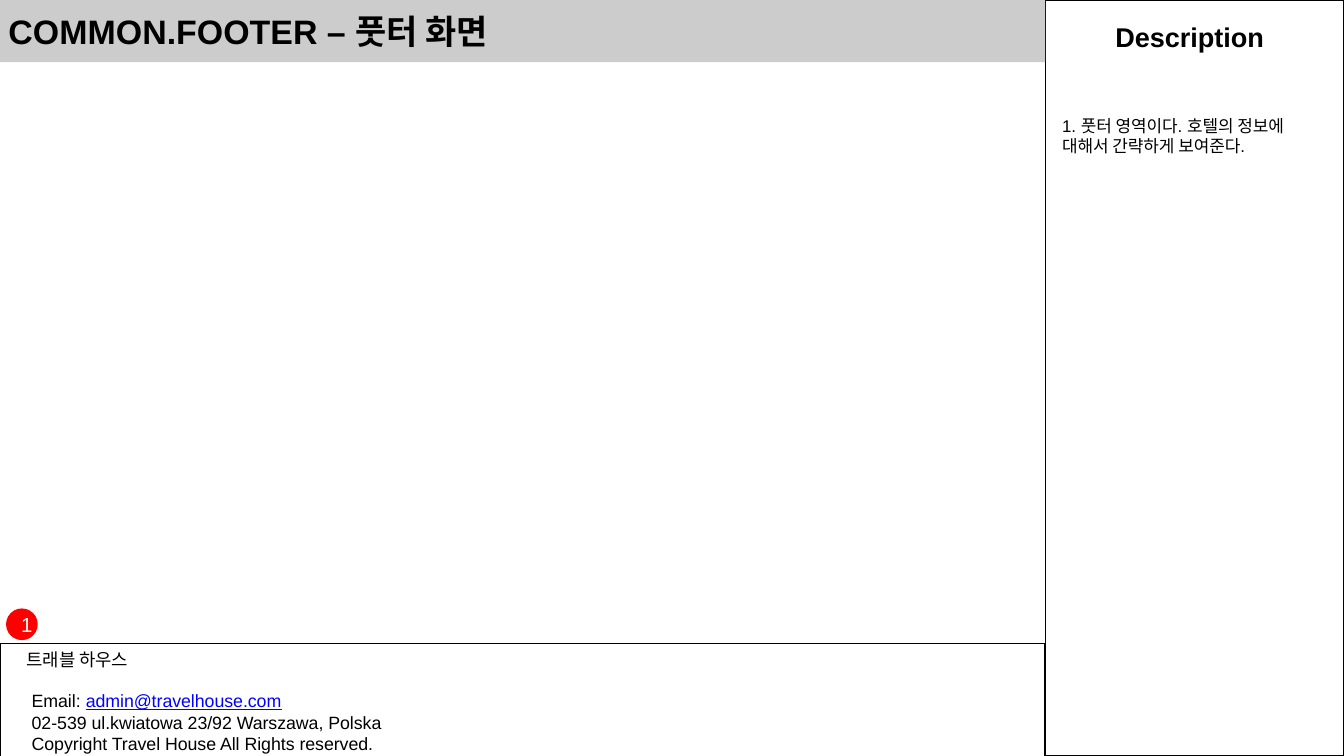
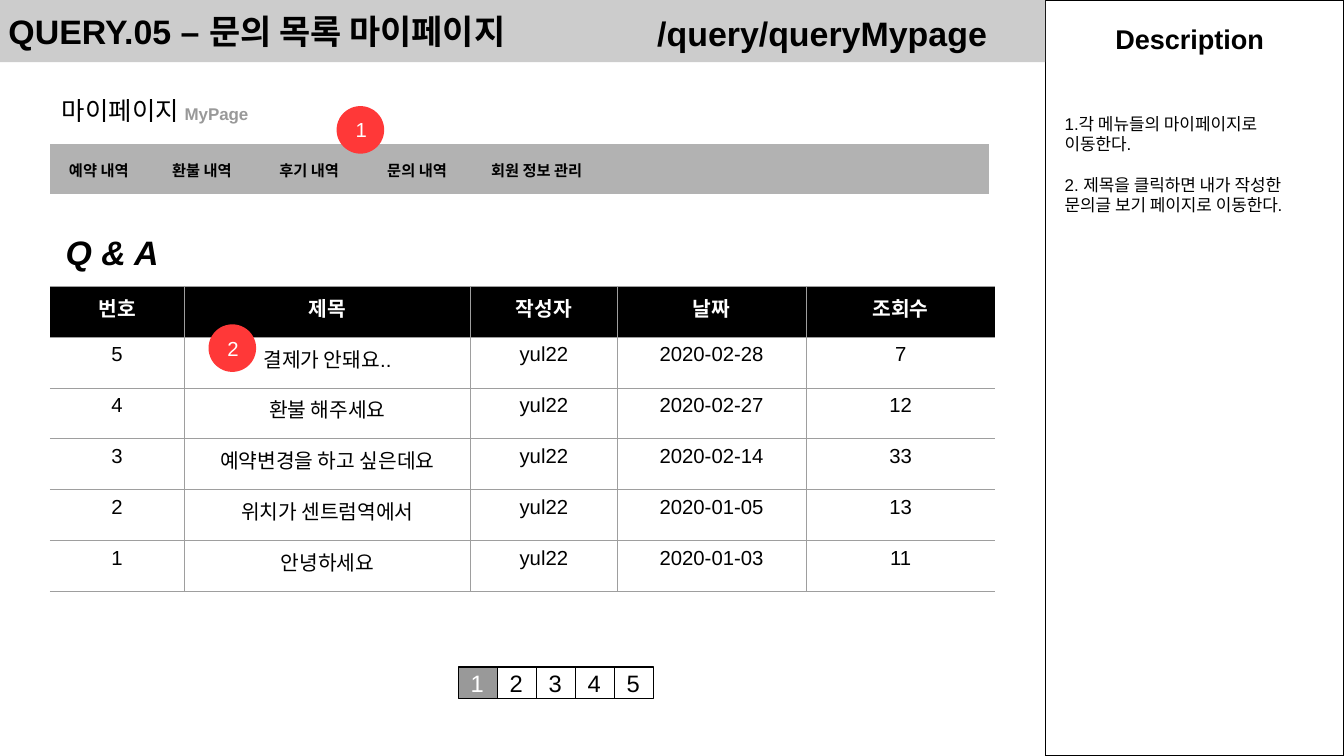
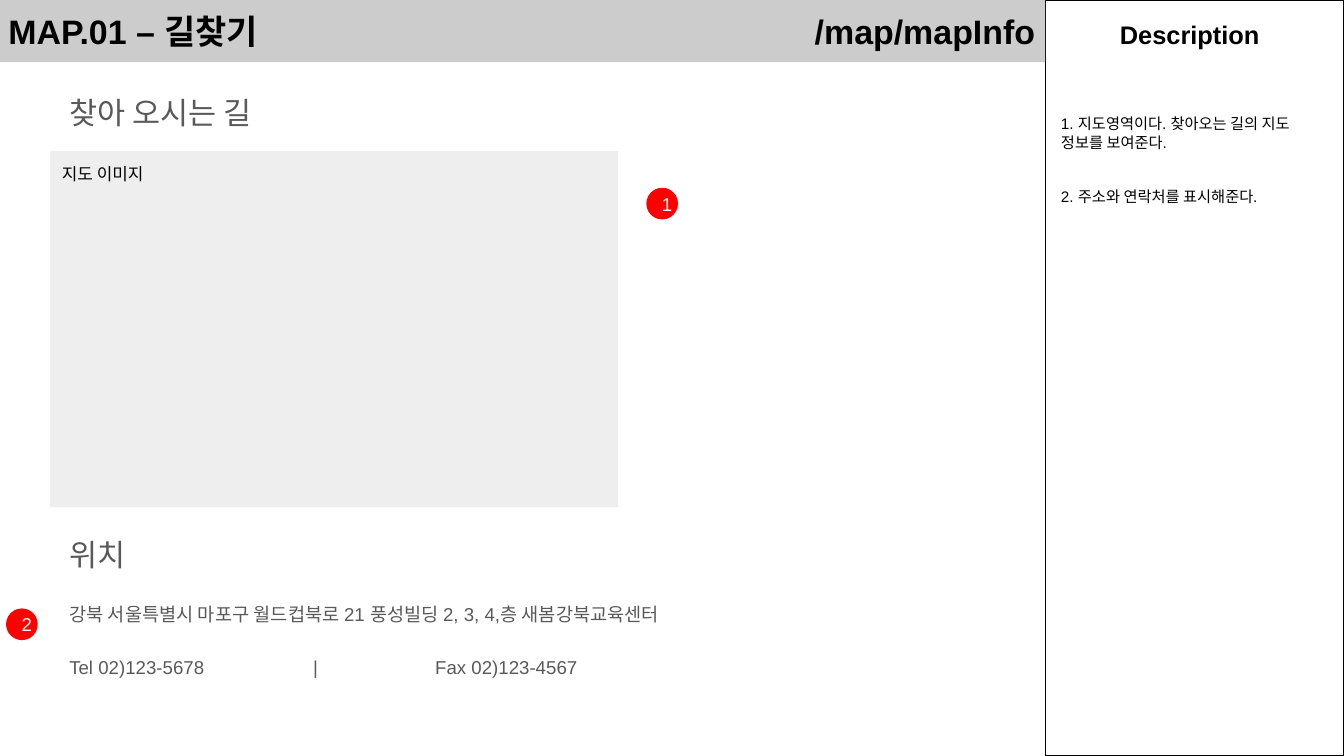
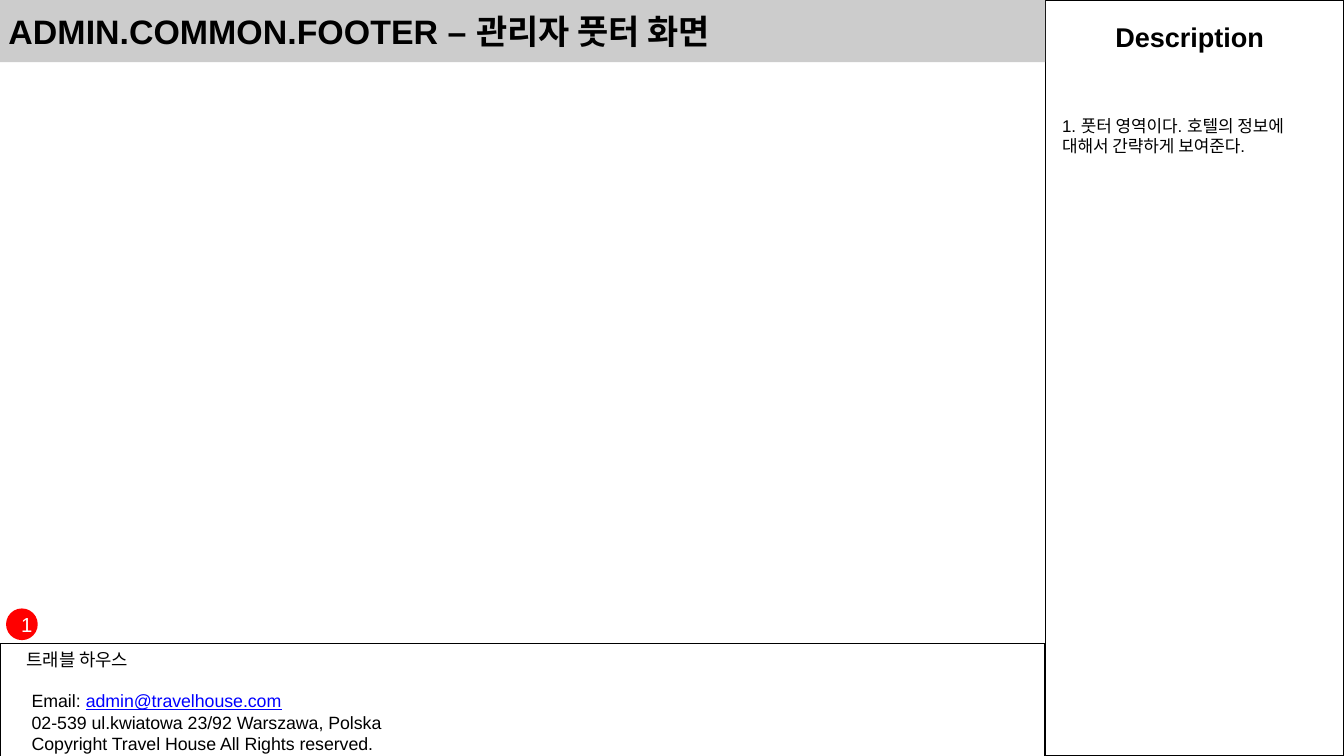
from lxml.etree import SubElement
from pptx import Presentation
from pptx.dml.color import RGBColor
from pptx.enum.shapes import MSO_SHAPE
from pptx.enum.text import MSO_ANCHOR, PP_ALIGN
from pptx.oxml.ns import qn
from pptx.util import Inches, Pt

FONT = "Arial"
BLACK, WHITE, BAND_GRAY, TEXT_GRAY = "000000", "FFFFFF", "CCCCCC", "595959"
RED, SOFT_RED = "FF0000", "FF3838"
PANEL_LEFT, BAND_HEIGHT = 8.57, 0.51
NO_TABLE_STYLE = "{2D5ABB26-0587-4C30-8999-92F81FD0307C}"


def add_box(slide, left, top, width, height, fill=None, line=None, kind=MSO_SHAPE.RECTANGLE):
    shape = slide.shapes.add_shape(
        kind, Inches(left), Inches(top), Inches(width), Inches(height))
    shape.shadow.inherit = False
    if fill:
        shape.fill.solid()
        shape.fill.fore_color.rgb = RGBColor.from_string(fill)
    else:
        shape.fill.background()
    if line:
        shape.line.color.rgb = RGBColor.from_string(line)
        shape.line.width = Pt(0.75)
    else:
        shape.line.fill.background()
    return shape


def set_text(holder, lines, size, color=BLACK, bold=False, align=PP_ALIGN.LEFT,
             anchor=MSO_ANCHOR.TOP, insets=(0.1, 0.05), gap=0, spacing=1.0, tabs=()):
    """Fill a shape or table cell; gap is the space before every later paragraph."""
    frame = holder.text_frame
    frame.word_wrap = True
    # A cell keeps its margins and anchor itself, a shape keeps them in its frame.
    owner = frame if hasattr(holder, "shape_id") else holder
    owner.margin_left = owner.margin_right = Inches(insets[0])
    owner.margin_top = owner.margin_bottom = Inches(insets[1])
    owner.vertical_anchor = anchor
    for index, line in enumerate(lines):
        paragraph = frame.add_paragraph() if index else frame.paragraphs[0]
        paragraph.text = line
        paragraph.alignment = align
        paragraph.line_spacing = spacing
        if index and gap:
            paragraph.space_before = Pt(gap)
        if tabs:
            tab_list = SubElement(paragraph._p.get_or_add_pPr(), qn("a:tabLst"))
            for position, side in tabs:
                SubElement(tab_list, qn("a:tab"), pos=str(Inches(position)), algn=side)
        paragraph.font.name = FONT
        paragraph.font.size = Pt(size)
        paragraph.font.bold = bold
        paragraph.font.color.rgb = RGBColor.from_string(color)
    return frame


presentation = Presentation()
presentation.slide_width, presentation.slide_height = Inches(11.02), Inches(6.2)

# Title, description lines, then the type sizes, gap, insets and top of the description,
# and the numbered badges as (label, left, top)
footer_notes = ["1. 풋터 영역이다. 호텔의 정보에 대해서 간략하게 보여준다."]
footer_badges = [("1", 0.05, 4.99)]
screens = [
    ("COMMON.FOOTER – 풋터 화면", footer_notes, 16, 10, 0, (0.1, 0.05), 0.9, footer_badges),
    ("QUERY.05 – 문의 목록 마이페이지",
     ["1.각 메뉴들의 마이페이지로 이동한다.",
      "2. 제목을 클릭하면 내가 작성한 문의글 보기 페이지로 이동한다."],
     16, 10, 12, (0.12, 0.06), 0.87, []),
    ("MAP.01 – 길찾기\t/map/mapInfo",
     ["1. 지도영역이다. 찾아오는 길의 지도 정보를 보여준다.",
      "2. 주소와 연락처를 표시해준다."],
     15, 9, 21.5, (0.09, 0.04), 0.9, [("2", 0.05, 4.99), ("1", 5.3, 1.54)]),
    ("ADMIN.COMMON.FOOTER – 관리자 풋터 화면", footer_notes, 16, 10, 0, (0.1, 0.05), 0.9,
     footer_badges),
]

slides = []
for title, notes, heading_size, note_size, gap, insets, notes_top, badges in screens:
    slide = presentation.slides.add_slide(presentation.slide_layouts[6])
    slides.append(slide)
    add_box(slide, PANEL_LEFT, 0, 2.45, 6.2, WHITE, BLACK)
    set_text(add_box(slide, 8.61, 0.12, 2.29, 0.39), ["Description"], heading_size,
             bold=True, align=PP_ALIGN.CENTER, insets=insets)
    set_text(add_box(slide, 8.61, notes_top, 2.33, 5.3), notes, note_size,
             insets=insets, gap=gap)
    band = add_box(slide, 0, 0, PANEL_LEFT, BAND_HEIGHT, BAND_GRAY)
    set_text(band, [title], 20, bold=True, anchor=MSO_ANCHOR.MIDDLE, insets=(0.07, 0),
             tabs=[(8.42, "r")] if "\t" in title else ())
    for label, left, top in badges:
        badge = add_box(slide, left, top, 0.26, 0.26, RED, kind=MSO_SHAPE.OVAL)
        set_text(badge, [label], heading_size - 4, WHITE, align=PP_ALIGN.CENTER,
                 anchor=MSO_ANCHOR.MIDDLE, insets=insets)

common_slide, query_slide, map_slide, admin_slide = slides

# Page footer of the site and of the admin area
for slide in (common_slide, admin_slide):
    footer = add_box(slide, 0, 5.28, PANEL_LEFT, 0.94, WHITE, BLACK)
    frame = set_text(
        footer,
        ["트래블 하우스", "Email: ", "02-539 ul.kwiatowa 23/92 Warszawa, Polska",
         "Copyright Travel House All Rights reserved."],
        10.5, anchor=MSO_ANCHOR.MIDDLE, insets=(0.22, 0.05))
    for paragraph in frame.paragraphs[1:]:
        paragraph._p.get_or_add_pPr().set("marL", str(Inches(0.04)))
    email_line = frame.paragraphs[1]
    email_line.space_before = Pt(12)
    address = email_line.add_run()
    address.text = "admin@travelhouse.com"
    address.font.underline = True
    address.font.color.rgb = RGBColor.from_string("0000FF")

# Question list
set_text(add_box(query_slide, 5.29, 0, 3.28, BAND_HEIGHT), ["/query/queryMypage"], 20,
         bold=True, insets=(0.1, 0.1))
heading = set_text(add_box(query_slide, 0.41, 0.73, 2.29, 0.34), ["마이페이지 "], 15)
subheading = heading.paragraphs[0].add_run()
subheading.text = "MyPage"
subheading.font.size = Pt(10)
subheading.font.bold = True
subheading.font.color.rgb = RGBColor.from_string("999999")
question_title = set_text(add_box(query_slide, 0.43, 1.87, 0.98, 0.39), ["Q & A"], 20,
                          bold=True, align=PP_ALIGN.CENTER, anchor=MSO_ANCHOR.MIDDLE)
question_title.paragraphs[0].font.italic = True

menu = [["예약 내역", "환불 내역", "후기 내역", "문의 내역", "회원 정보 관리", "", "", ""]]
questions = [
    ["번호", "제목", "작성자", "날짜", "조회수"],
    ["5", "결제가 안돼요..", "yul22", "2020-02-28", "7"],
    ["4", "환불 해주세요", "yul22", "2020-02-27", "12"],
    ["3", "예약변경을 하고 싶은데요", "yul22", "2020-02-14", "33"],
    ["2", "위치가 센트럼역에서", "yul22", "2020-01-05", "13"],
    ["1", "안녕하세요", "yul22", "2020-01-03", "11"],
]
# Rows, top, height, column widths, first row fill and text colour, size, anchor,
# border colour, whether columns are ruled
tables = [
    (menu, 1.18, 0.42, [0.8, 0.89, 0.87, 0.9] + [1.06] * 4, "B2B2B2", BLACK, 9,
     MSO_ANCHOR.MIDDLE, WHITE, False),
    (questions, 2.35, 2.5, [1.1, 2.35, 1.2, 1.55, 1.55], BLACK, WHITE, 12,
     MSO_ANCHOR.TOP, "9E9E9E", True),
]
for rows, top, height, widths, fill, color, size, anchor, border, ruled in tables:
    table = query_slide.shapes.add_table(
        len(rows), len(widths), Inches(0.41), Inches(top),
        Inches(sum(widths)), Inches(height)).table
    table.first_row = table.horz_banding = False
    table._tbl.tblPr.find(qn("a:tableStyleId")).text = NO_TABLE_STYLE
    for column, width in zip(table.columns, widths):
        column.width = Inches(width)
    for row_index, row in enumerate(rows):
        for column_index, value in enumerate(row):
            cell = table.cell(row_index, column_index)
            set_text(cell, [value], size, BLACK if row_index else color,
                     bold=row_index == 0, align=PP_ALIGN.CENTER, anchor=anchor)
            edges = ["T", "B"]
            if ruled and column_index < len(row) - 1:
                edges.insert(0, "R")
            if ruled and column_index:
                edges.insert(0, "L")
            for edge in edges:
                rule = SubElement(cell._tc.get_or_add_tcPr(), qn(f"a:ln{edge}"),
                                  w=str(Pt(0.75)))
                SubElement(SubElement(rule, qn("a:solidFill")), qn("a:srgbClr"), val=border)
            if row_index:
                cell.fill.background()
            else:
                cell.fill.solid()
                cell.fill.fore_color.rgb = RGBColor.from_string(fill)

for page in range(1, 6):
    current = page == 1
    button = add_box(query_slide, 3.76 + 0.32 * (page - 1), 5.47, 0.32, 0.26,
                     "999999" if current else None, BLACK)
    set_text(button, [str(page)], 14, WHITE if current else BLACK,
             anchor=MSO_ANCHOR.MIDDLE, insets=(0.1, 0.1))

for label, left, top in [("2", 1.71, 2.66), ("1", 2.76, 0.87)]:
    badge = add_box(query_slide, left, top, 0.39, 0.39, SOFT_RED, kind=MSO_SHAPE.OVAL)
    set_text(badge, [label], 12, WHITE, align=PP_ALIGN.CENTER, anchor=MSO_ANCHOR.MIDDLE)

# Directions
set_text(add_box(map_slide, 0.47, 0.63, 2.2, 0.61), ["찾아 오시는 길"], 18, TEXT_GRAY,
         insets=(0.1, 0.1), spacing=1.15)
set_text(add_box(map_slide, 0.41, 1.24, 4.66, 2.92, "EEEEEE"), ["지도 이미지"], 10,
         insets=(0.1, 0.1))
location = set_text(
    add_box(map_slide, 0.47, 4.25, 7.94, 1.82),
    ["위치", "강북 서울특별시 마포구 월드컵북로 21 풍성빌딩 2, 3, 4,층 새봄강북교육센터",
     "Tel 02)123-5678\t|\tFax 02)123-4567"],
    11, TEXT_GRAY, insets=(0.1, 0.1), gap=16, spacing=1.15, tabs=[(2, "l"), (3, "l")])
location.paragraphs[0].font.size = Pt(18)

presentation.save("out.pptx")
